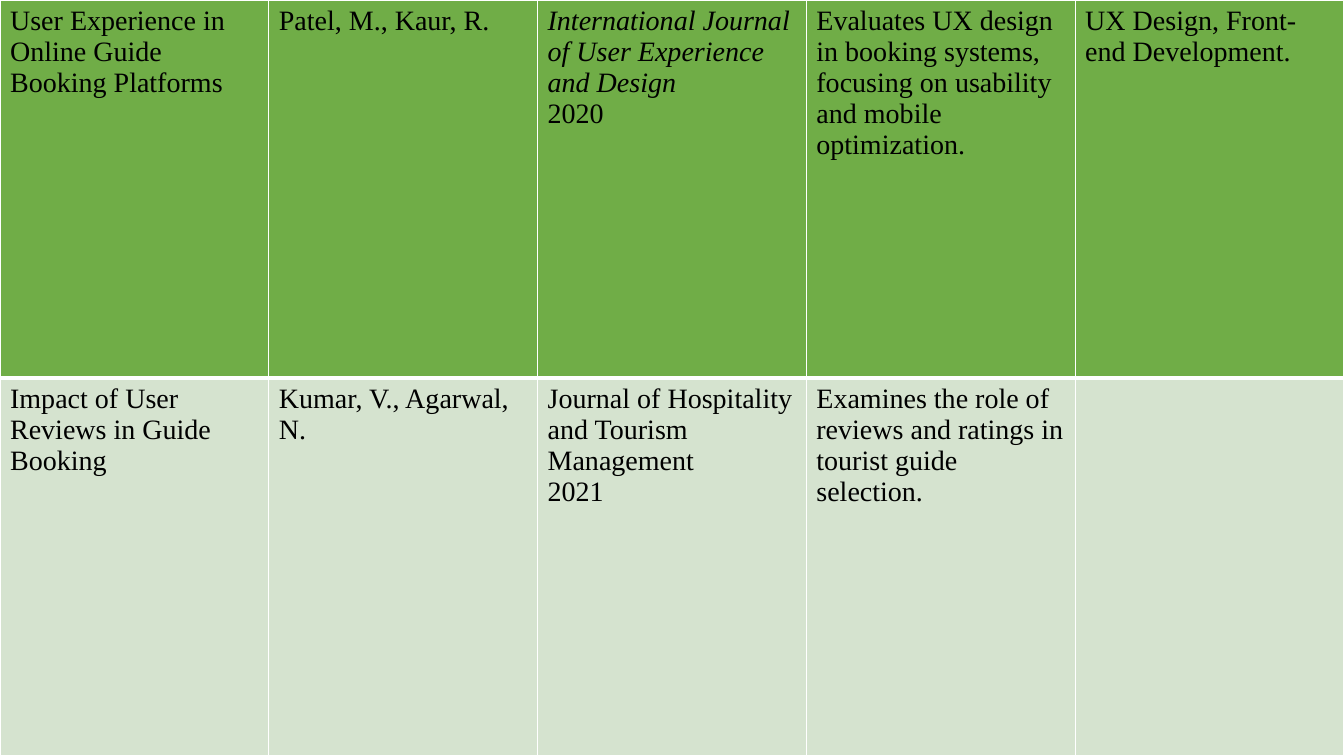
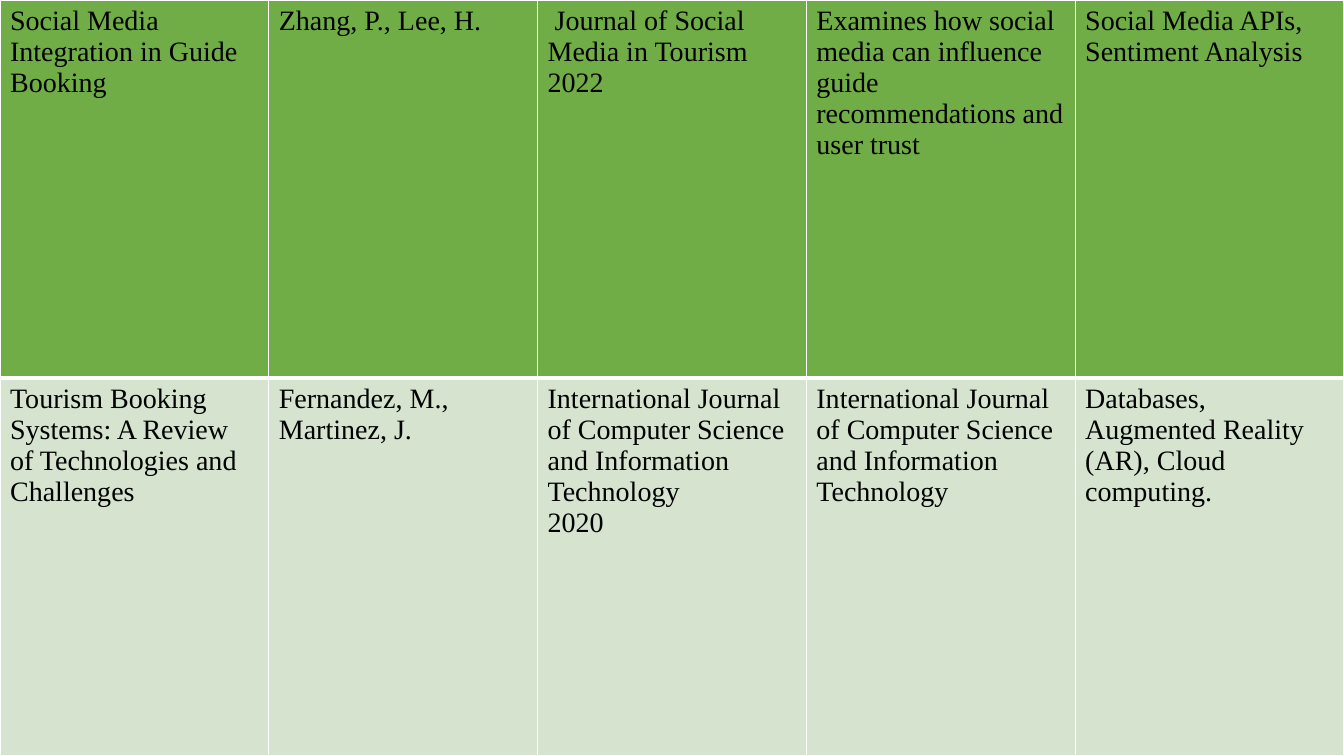
"""Build two literature survey slides, each a full-page table."""
from lxml import etree
from pptx import Presentation
from pptx.dml.color import RGBColor
from pptx.oxml.ns import qn
from pptx.util import Inches, Pt

BLACK = RGBColor(0x00, 0x00, 0x00)
WHITE = RGBColor(0xFF, 0xFF, 0xFF)
GREEN = RGBColor(0x70, 0xAD, 0x47)
PALE = RGBColor(0xD5, 0xE3, 0xCF)
FILLS = (GREEN, PALE)
FONT = "Times New Roman"
SIZE = Pt(20)
WIDE, HIGH = Inches(13.33), Inches(7.5)
THIN, THICK = Pt(1), Pt(3)
EDGES = (
    {"lnL": THIN, "lnR": THIN, "lnT": THIN, "lnB": THICK},
    {"lnL": THIN, "lnR": THIN, "lnT": THICK, "lnB": THIN},
)
ITALIC = "International Journal of User Experience and Design"

PAGES = [
    [
        [
            ["User Experience in Online Guide Booking Platforms"],
            ["Patel, M., Kaur, R."],
            [ITALIC, "2020"],
            ["Evaluates UX design in booking systems, focusing on usability and mobile optimization."],
            ["UX Design, Front-end Development."],
        ],
        [
            ["Impact of User Reviews in Guide Booking"],
            ["Kumar, V., Agarwal, N."],
            ["Journal of Hospitality and Tourism Management", "2021"],
            ["Examines the role of reviews and ratings in tourist guide selection."],
            [],
        ],
    ],
    [
        [
            ["Social Media Integration in Guide Booking"],
            ["Zhang, P., Lee, H."],
            [" Journal of Social Media in Tourism", "2022"],
            ["Examines how social media can influence guide recommendations and user trust"],
            ["Social Media APIs, Sentiment Analysis"],
        ],
        [
            ["Tourism Booking Systems: A Review of Technologies and Challenges"],
            ["Fernandez, M., Martinez, J."],
            ["International Journal of Computer Science and Information Technology", "2020"],
            ["International Journal of Computer Science and Information Technology"],
            ["Databases, Augmented Reality (AR), Cloud computing."],
        ],
    ],
]


def add_edges(cell, edges):
    props = cell._tc.get_or_add_tcPr()
    for name, width in edges.items():
        line = etree.SubElement(props, qn("a:" + name), w=str(width))
        solid = etree.SubElement(line, qn("a:solidFill"))
        etree.SubElement(solid, qn("a:srgbClr"), val=str(WHITE))


def add_text(cell, lines):
    frame = cell.text_frame
    for i, text in enumerate(lines):
        para = frame.add_paragraph() if i else frame.paragraphs[0]
        run = para.add_run()
        run.text = text
        font = run.font
        font.name, font.size = FONT, SIZE
        font.bold, font.italic = False, text == ITALIC
        font.color.rgb = BLACK


deck = Presentation()
deck.slide_width, deck.slide_height = WIDE, HIGH
blank = deck.slide_layouts[6]

for rows in PAGES:
    slide = deck.slides.add_slide(blank)
    table = slide.shapes.add_table(len(rows), len(rows[0]), 0, 0, WIDE, HIGH).table
    for r, row in enumerate(rows):
        for c, lines in enumerate(row):
            cell = table.cell(r, c)
            add_edges(cell, EDGES[r])
            cell.fill.solid()
            cell.fill.fore_color.rgb = FILLS[r]
            add_text(cell, lines)

deck.save("out.pptx")
